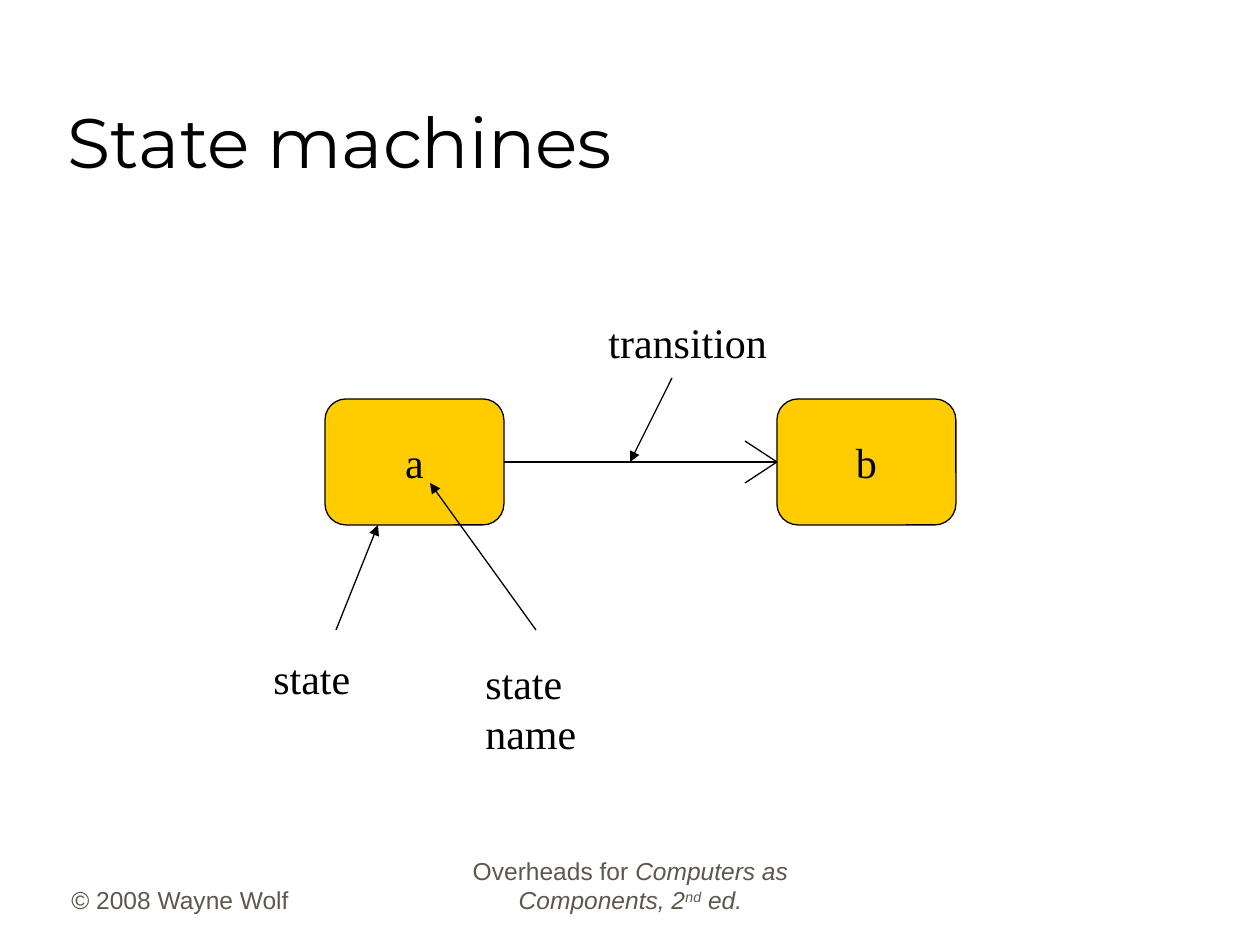
from lxml import etree
from pptx import Presentation
from pptx.dml.color import RGBColor
from pptx.enum.shapes import MSO_CONNECTOR, MSO_SHAPE
from pptx.enum.text import MSO_ANCHOR, PP_ALIGN
from pptx.oxml.ns import qn
from pptx.util import Emu, Pt

STRAIGHT = MSO_CONNECTOR.STRAIGHT
ROUNDED = MSO_SHAPE.ROUNDED_RECTANGLE
TOP, MIDDLE, BOTTOM = MSO_ANCHOR.TOP, MSO_ANCHOR.MIDDLE, MSO_ANCHOR.BOTTOM
LEFT, CENTER = PP_ALIGN.LEFT, PP_ALIGN.CENTER
COLORS = {"ink": "000000", "state": "FFCC00", "footer": "5E574E"}
SERIF, SANS, DISPLAY = "Times New Roman", "Arial", "Montserrat"
LINE_WIDTH = Pt(0.75)


def px(value):
    """Convert pixels, at 126 to the inch, to EMU."""
    return Emu(round(value * 914400 / 126))


def style_font(font, name, size, color):
    """Set the face, size and colour of a font."""
    font.name = name
    font.size = Pt(size)
    font.color.rgb = RGBColor.from_string(COLORS[color])


def add_text(slide, box, text, name=SERIF, size=24, color="ink",
             anchor=TOP, align=LEFT, wrap=True):
    """Add a text box and return its paragraph."""
    frame = slide.shapes.add_textbox(*map(px, box)).text_frame
    frame.word_wrap = wrap
    frame.vertical_anchor = anchor
    frame.text = text
    paragraph = frame.paragraphs[0]
    paragraph.alignment = align
    for run in paragraph.runs:
        style_font(run.font, name, size, color)
    return paragraph


def add_footer(slide, box, text, align=LEFT):
    """Add a footer text and return its paragraph."""
    return add_text(slide, box, text, SANS, 14, "footer", BOTTOM, align)


def add_book_title(paragraph):
    """Append the italic book title with its raised ordinal."""
    parts = (("Computers as Components, 2", 0), ("nd", 30000), (" ed.", 0))
    for text, baseline in parts:
        run = paragraph.add_run()
        run.text = text
        style_font(run.font, SANS, 14, "footer")
        run.font.italic = True
        if baseline:
            run._r.get_or_add_rPr().set("baseline", str(baseline))


def add_state(slide, left, name):
    """Add a rounded state box with its name."""
    shape = slide.shapes.add_shape(ROUNDED, px(left), px(399), px(179), px(126))
    shape.adjustments[0] = 0.167
    shape.shadow.inherit = False
    shape.fill.solid()
    shape.fill.fore_color.rgb = RGBColor.from_string(COLORS["state"])
    shape.line.color.rgb = RGBColor.from_string(COLORS["ink"])
    shape.line.width = LINE_WIDTH
    frame = shape.text_frame
    frame.word_wrap = False
    frame.vertical_anchor = MIDDLE
    frame.text = name
    paragraph = frame.paragraphs[0]
    paragraph.alignment = CENTER
    style_font(paragraph.runs[0].font, SERIF, 24, "ink")
    return shape


def add_line(slide, start, end, arrow=False):
    """Add a thin line, with a filled arrowhead at its end if asked."""
    connector = slide.shapes.add_connector(STRAIGHT, *map(px, start + end))
    connector.line.color.rgb = RGBColor.from_string(COLORS["ink"])
    connector.line.width = LINE_WIDTH
    if arrow:
        outline = connector.line._get_or_add_ln()
        etree.SubElement(outline, qn("a:tailEnd"), type="triangle")
    etree.SubElement(connector._element.spPr, qn("a:effectLst"))
    return connector


def add_transition(slide, source, target):
    """Join two states with a line that ends in a wide open arrowhead."""
    tip = (777, 462)
    connector = add_line(slide, (504, 462), tip)
    connector.begin_connect(source, 3)
    connector.end_connect(target, 1)
    for rise in (-21, 21):
        add_line(slide, tip, (tip[0] - 32, tip[1] + rise))


def main():
    """Build the slide and save it."""
    presentation = Presentation()
    presentation.slide_width, presentation.slide_height = px(1260), px(945)
    slide = presentation.slides.add_slide(presentation.slide_layouts[6])

    add_footer(slide, (59, 858, 262, 63), "© 2008 Wayne Wolf")
    add_book_title(add_footer(slide, (431, 858, 399, 63), "Overheads for ", CENTER))
    add_text(slide, (55, 32, 1071, 157), "State machines", DISPLAY, 40,
             anchor=BOTTOM)

    state_a, state_b = add_state(slide, 325, "a"), add_state(slide, 777, "b")
    add_transition(slide, state_a, state_b)

    callouts = (
        ("state", (261, 646, 102, 63), (336, 630), (378, 525)),
        ("state name", (473, 651, 203, 63), (536, 630), (430, 483)),
        ("transition", (596, 310, 184, 63), (672, 378), (630, 462)),
    )
    for text, box, start, end in callouts:
        add_line(slide, start, end, arrow=True)
        add_text(slide, box, text, wrap=False)

    presentation.save("out.pptx")


if __name__ == "__main__":
    main()
